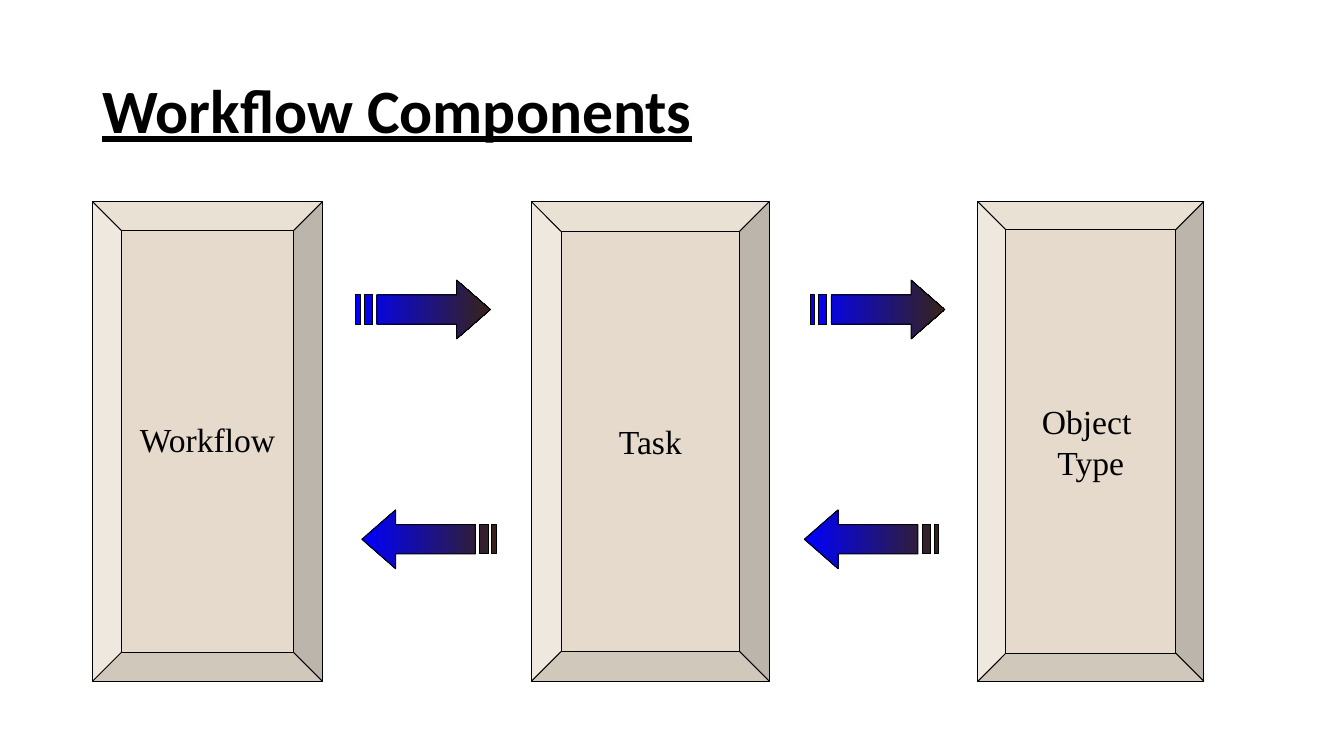
import pptx
import pptx.dml.color
import pptx.enum.shapes
import pptx.enum.text
import pptx.oxml
import pptx.oxml.ns
import pptx.util
from pptx.util import Cm, Pt

COLORS = {"ink": "000000", "panel": "CDB799", "arrow_start": "0000FF", "arrow_end": "372317"}
RGB = {name: pptx.dml.color.RGBColor.from_string(value) for name, value in COLORS.items()}

ARROW_WIDTH = 3.39
# A right-pointing arrow with two tail stripes, in cm from its top left corner
ARROW_CONTOURS = [
    [(2.54, 0), (2.54, 0.37), (0.53, 0.37), (0.53, 1.11), (2.54, 1.11), (2.54, 1.48), (3.39, 0.74)],
    [(0.21, 0.37), (0.21, 1.11), (0.42, 1.11), (0.42, 0.37)],
    [(0, 0.37), (0, 1.11), (0.11, 1.11), (0.11, 0.37)],
]


def outline(shape):
    shape.shadow.inherit = False
    shape.line.color.rgb = RGB["ink"]
    shape.line.width = Pt(0.75)


def add_striped_arrow(slide, left, top, points_right):
    contours = [
        [(Cm(left + (x if points_right else ARROW_WIDTH - x)), Cm(top + y)) for x, y in contour]
        for contour in ARROW_CONTOURS
    ]
    builder = slide.shapes.build_freeform(*contours[0][0])
    builder.add_line_segments(contours[0][1:], close=True)
    for contour in contours[1:]:
        builder.move_to(*contour[0])
        builder.add_line_segments(contour[1:], close=True)
    arrow = builder.convert_to_shape()
    outline(arrow)
    arrow.fill.gradient()
    arrow.fill.gradient_angle = 0
    for stop, name in zip(arrow.fill.gradient_stops, ("arrow_start", "arrow_end")):
        stop.color.rgb = RGB[name]


presentation = pptx.Presentation()
presentation.slide_width = Cm(33.87)
presentation.slide_height = Cm(19.05)
slide = presentation.slides.add_slide(presentation.slide_layouts[6])

title = slide.shapes.add_textbox(Cm(2.33), Cm(1.01), Cm(29.21), Cm(3.68))
title.text_frame.word_wrap = True
title.text_frame.vertical_anchor = pptx.enum.text.MSO_ANCHOR.MIDDLE
paragraph = title.text_frame.paragraphs[0]
paragraph.text = "Workflow Components"
paragraph.line_spacing = 0.9
paragraph.font.name = "Calibri"
paragraph.font.size = Pt(44)
paragraph.font.bold = True
paragraph.font.underline = True
paragraph.font.color.rgb = RGB["ink"]

for text, left, width, line_spacing in [
    ("Workflow", 2.33, 5.8, 0.9),
    ("Task", 13.39, 6, 1.0),
    ("Object \nType", 24.64, 5.7, 1.0),
]:
    panel = slide.shapes.add_shape(
        pptx.enum.shapes.MSO_SHAPE.BEVEL, Cm(left), Cm(5.08), Cm(width), Cm(12.09)
    )
    panel.adjustments[0] = 0.125
    outline(panel)
    panel.fill.solid()
    panel.fill.fore_color.rgb = RGB["panel"]
    fill_color = panel.fill._xPr.find(".//" + pptx.oxml.ns.qn("a:srgbClr"))
    fill_color.append(
        pptx.oxml.parse_xml(f'<a:alpha {pptx.oxml.ns.nsdecls("a")} val="50000"/>')
    )
    panel.text_frame.word_wrap = False
    panel.text_frame.vertical_anchor = pptx.enum.text.MSO_ANCHOR.MIDDLE
    panel.text_frame.text = text
    for paragraph in panel.text_frame.paragraphs:
        paragraph.alignment = pptx.enum.text.PP_ALIGN.CENTER
        paragraph.line_spacing = line_spacing
        paragraph.font.name = "Times New Roman"
        paragraph.font.size = Pt(24)
        paragraph.font.color.rgb = RGB["ink"]

for left, top, points_right in [
    (8.97, 7.06, True),
    (20.42, 7.06, True),
    (20.27, 12.85, False),
    (9.12, 12.85, False),
]:
    add_striped_arrow(slide, left, top, points_right)

presentation.save("out.pptx")
